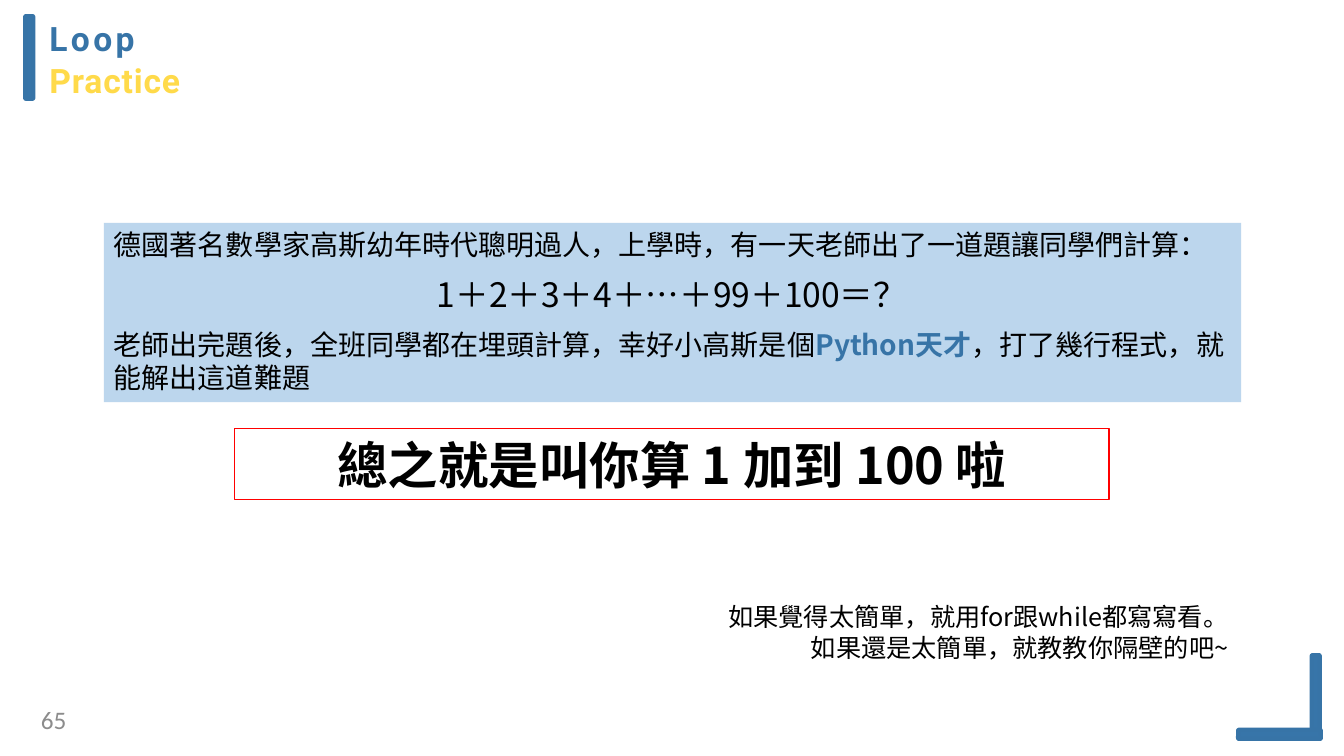
"""Build the loop practice slide about Gauss adding 1 to 100."""
from lxml import etree
from pptx import Presentation
from pptx.dml.color import RGBColor
from pptx.enum import shapes, text
from pptx.oxml import ns
from pptx.util import Inches, Pt

COLORS = {"blue": "3774A7", "bar": "3775A9", "yellow": "FFDA4A", "panel": "BCD6ED",
          "red": "FF0000", "black": "000000", "gray": "8C8C8C"}
CJK = "Noto Sans CJK SC"
ALIGN = text.PP_ALIGN


def style_run(run, size, color="black", font=CJK, bold=False):
    run.font.size = Pt(size)
    run.font.bold = bold
    run.font.color.rgb = RGBColor.from_string(COLORS[color])
    run.font.name = font
    east_asian = etree.SubElement(run._r.get_or_add_rPr(), ns.qn("a:ea"))
    east_asian.set("typeface", font)


def set_frame(shape, margins=(0.1, 0.05, 0.1, 0.05), anchor=text.MSO_ANCHOR.TOP):
    frame = shape.text_frame
    frame.word_wrap = True
    frame.auto_size = text.MSO_AUTO_SIZE.NONE
    frame.vertical_anchor = anchor
    (frame.margin_left, frame.margin_top,
     frame.margin_right, frame.margin_bottom) = map(Inches, margins)
    return frame


deck = Presentation()
deck.slide_width, deck.slide_height = Inches(13.33), Inches(7.5)
slide = deck.slides.add_slide(deck.slide_layouts[5])

heading = slide.shapes.title
heading.left, heading.top, heading.width, heading.height = map(Inches, (0.48, 0.16, 4.52, 0.84))
heading_frame = set_frame(heading, (0.01, 0.02, 0, 0))
heading_frame.text = "Loop\nPractice"
for paragraph, color, spacing in zip(heading_frame.paragraphs, ("blue", "yellow"), (240, 60)):
    paragraph.alignment = ALIGN.LEFT
    style_run(paragraph.runs[0], 24, color, "Roboto", True)
    paragraph.runs[0]._r.get_or_add_rPr().set("spc", str(spacing))
heading_frame.paragraphs[1].space_before = Pt(1)

for box in ((0.25, 0.16, 0.08, 0.82), (13.01, 6.5, 0.08, 0.82), (12.28, 7.24, 0.82, 0.09)):
    bar = slide.shapes.add_shape(shapes.MSO_SHAPE.ROUNDED_RECTANGLE, *map(Inches, box))
    bar.shadow.inherit = False
    bar.adjustments[0] = 0.1
    bar.fill.solid()
    bar.fill.fore_color.rgb = RGBColor.from_string(COLORS["bar"])
    bar.line.color.rgb = RGBColor.from_string(COLORS["blue"])
    bar.line.width = Pt(3)

story = slide.shapes.add_shape(shapes.MSO_SHAPE.RECTANGLE, *map(Inches, (1.03, 2.21, 11.28, 1.78)))
story.shadow.inherit = False
story.fill.solid()
story.fill.fore_color.rgb = RGBColor.from_string(COLORS["panel"])
story.line.fill.background()
story_frame = set_frame(story)
story_frame.text = "德國著名數學家高斯幼年時代聰明過人，上學時，有一天老師出了一道題讓同學們計算：\n老師出完題後，全班同學都在埋頭計算，幸好小高斯是個"
ending = story_frame.paragraphs[1]
ending.space_before = Pt(47)
for words in ("Python天才", "，打了幾行程式，就能解出這道難題"):
    ending.add_run().text = words
for paragraph in story_frame.paragraphs:
    paragraph.alignment = ALIGN.LEFT
    for run in paragraph.runs:
        genius = run.text.startswith("Python")
        style_run(run, 20, "blue" if genius else "black", bold=genius)

summary = slide.shapes.add_shape(shapes.MSO_SHAPE.RECTANGLE, *map(Inches, (2.33, 4.25, 8.67, 0.71)))
summary.shadow.inherit = False
summary.fill.background()
summary.line.color.rgb = RGBColor.from_string(COLORS["red"])
summary.line.width = Pt(0.75)
summary_frame = set_frame(summary, anchor=text.MSO_ANCHOR.MIDDLE)
summary_frame.text = "總之就是叫你算 1 加到 100 啦"
summary_frame.paragraphs[0].alignment = ALIGN.CENTER
style_run(summary_frame.paragraphs[0].runs[0], 36, bold=True)

notes = (
    ((3.41, 2.67, 6.51, 0.5), "1＋2＋3＋4＋…＋99＋100＝？", 24, ALIGN.CENTER),
    ((3.2, 5.92, 9.08, 0.71),
     "如果覺得太簡單，就用for跟while都寫寫看。\n如果還是太簡單，就教教你隔壁的吧~", 18, ALIGN.RIGHT),
)
for box, words, size, alignment in notes:
    note_frame = set_frame(slide.shapes.add_textbox(*map(Inches, box)))
    note_frame.text = words
    for paragraph in note_frame.paragraphs:
        paragraph.alignment = alignment
        style_run(paragraph.runs[0], size)

page_number = slide.shapes.add_textbox(*map(Inches, (0.08, 6.99, 0.58, 0.3)))
page_frame = set_frame(page_number, (0, 0, 0, 0))
page_frame.text = "65"
page_frame.paragraphs[0].alignment = ALIGN.RIGHT
style_run(page_frame.paragraphs[0].runs[0], 18, "gray", "Calibri")

deck.save("out.pptx")
